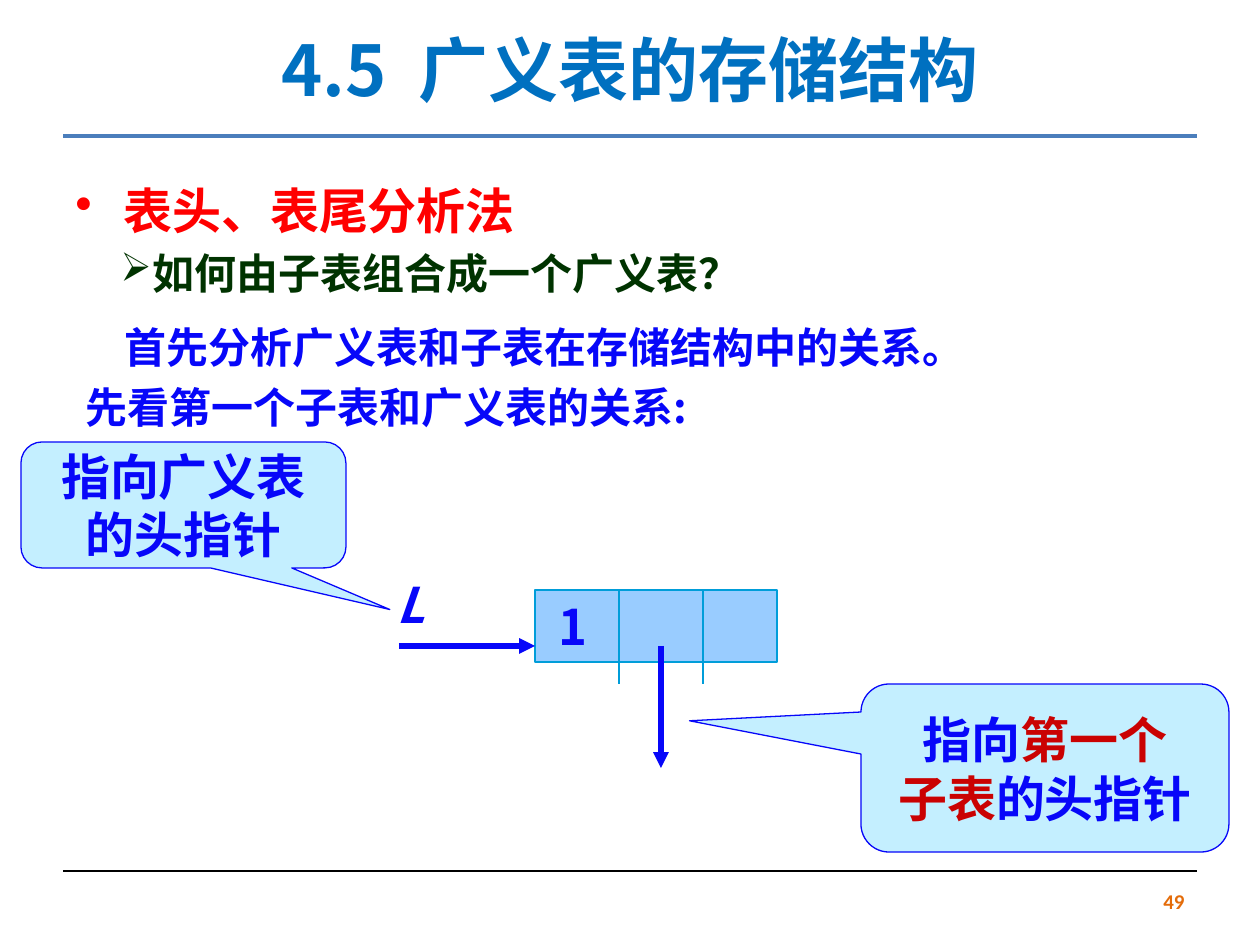
from lxml.etree import SubElement
from pptx import Presentation
from pptx.dml.color import RGBColor
from pptx.enum.shapes import MSO_CONNECTOR, MSO_SHAPE
from pptx.enum.text import MSO_ANCHOR, PP_ALIGN
from pptx.oxml.ns import qn
from pptx.util import Emu, Pt

PX_PER_INCH = 126
CJK, LATIN = "Noto Sans CJK SC", "Calibri"

BLUE = RGBColor(0x07, 0x07, 0xF9)
TITLE_BLUE = RGBColor(0x00, 0x70, 0xC0)
RULE_BLUE = RGBColor(0x4B, 0x7E, 0xBC)
RED = RGBColor(0xFF, 0x00, 0x00)
DARK_RED = RGBColor(0xCA, 0x02, 0x02)
GREEN = RGBColor(0x00, 0x33, 0x00)
ORANGE = RGBColor(0xE4, 0x6C, 0x0A)
BLACK = RGBColor(0x00, 0x00, 0x00)
NODE_FILL = RGBColor(0x99, 0xCC, 0xFF)
NODE_LINE = RGBColor(0x00, 0x9D, 0xD9)
CALLOUT_FILL = RGBColor(0xC4, 0xEF, 0xFF)

# text, box (left, top, width, height), format
TEXTS = [
    ("4.5  广义表的存储结构", (63, 0, 1134, 137),
     dict(size=40, color=TITLE_BLUE, align=PP_ALIGN.CENTER, anchor=MSO_ANCHOR.MIDDLE)),
    ("表头、表尾分析法", (63, 179, 1134, 703),
     dict(size=28, color=RED, font=LATIN, align=PP_ALIGN.JUSTIFY, bullet="•",
          margin=48, indent=-48, line_spacing=31, before=5.6)),
    ("如何由子表组合成一个广义表？", (108, 241, 1120, 63),
     dict(color=GREEN, bullet="➢", bullet_percent=95)),
    ("首先分析广义表和子表在存储结构中的关系。", (73, 315, 1120, 63), dict(margin=39)),
    ("先看第一个子表和广义表的关系:", (73, 375, 1120, 63), {}),
    ("L", (384, 568, 50, 72), dict(size=28, italic=True, wrap=False)),
    ("49", (903, 876, 294, 50),
     dict(size=12, color=ORANGE, font=LATIN, align=PP_ALIGN.RIGHT, anchor=MSO_ANCHOR.MIDDLE)),
]

# lines of (text, colour) spans, box, adjustments
CALLOUTS = [
    ([[("指向广义表", BLUE)], [("的头指针", BLUE)]],
     (21, 442, 325, 126), (0.635, 0.83, 0.167)),
    ([[("指向", BLUE), ("第一个", DARK_RED)], [("子表", DARK_RED), ("的头指针", BLUE)]],
     (861, 684, 368, 168), (-0.966, -0.281, 0.167)),
]

NODE = (535, 590, 242, 72)
CELL_WIDTH = 84
POINTER_Y = 646


def px(length):
    return Emu(round(length * 914400 / PX_PER_INCH))


def add_bullet(paragraph, char, color, percent):
    properties = paragraph._p.get_or_add_pPr()
    fill = SubElement(SubElement(properties, qn("a:buClr")), qn("a:srgbClr"))
    fill.set("val", str(color))
    SubElement(properties, qn("a:buSzPct")).set("val", str(percent * 1000))
    SubElement(properties, qn("a:buChar")).set("char", char)


def write_text(shape, lines, size=24, color=BLUE, font=CJK, italic=False,
               align=PP_ALIGN.LEFT, anchor=MSO_ANCHOR.TOP, wrap=True, margin=0,
               indent=0, line_spacing=None, before=0, bullet=None, bullet_percent=100):
    """Fill a shape; lines is a string or a list of lines of (text, colour) spans."""
    if isinstance(lines, str):
        lines = [[(lines, color)]]
    frame = shape.text_frame
    frame.word_wrap = wrap
    frame.vertical_anchor = anchor
    for number, spans in enumerate(lines):
        paragraph = frame.add_paragraph() if number else frame.paragraphs[0]
        paragraph.alignment = align
        paragraph.space_before = Pt(before)
        if line_spacing:
            paragraph.line_spacing = Pt(line_spacing)
        properties = paragraph._p.get_or_add_pPr()
        properties.set("marL", str(px(margin)))
        properties.set("indent", str(px(indent)))
        if bullet:
            add_bullet(paragraph, bullet, color, bullet_percent)
        for text, span_color in spans:
            span = paragraph.add_run()
            span.text = text
            span.font.size = Pt(size)
            span.font.bold = True
            span.font.italic = italic
            span.font.name = font
            span.font.color.rgb = span_color
            SubElement(span._r.get_or_add_rPr(), qn("a:ea")).set("typeface", CJK)


def add_box(page, kind, box, fill, line, width):
    shape = page.shapes.add_shape(kind, *map(px, box))
    shape.shadow.inherit = False
    shape.fill.solid()
    shape.fill.fore_color.rgb = fill
    shape.line.color.rgb = line
    shape.line.width = Pt(width)
    return shape


def add_line(page, start, end, color, width, arrow=False):
    line = page.shapes.add_connector(MSO_CONNECTOR.STRAIGHT, *map(px, start + end))
    line.line.color.rgb = color
    line.line.width = Pt(width)
    if arrow:
        SubElement(line.line._get_or_add_ln(), qn("a:tailEnd")).set("type", "triangle")
    SubElement(line._element.spPr, qn("a:effectLst"))


def add_node(page):
    """Draw the three-cell list node with its incoming and outgoing pointers."""
    left, top, width, height = NODE
    node = add_box(page, MSO_SHAPE.RECTANGLE, NODE, NODE_FILL, NODE_LINE, 1.5)
    write_text(node, "1", size=28, margin=11)
    for cell in (1, 2):
        x = left + cell * CELL_WIDTH
        add_line(page, (x, top), (x, top + 94), NODE_LINE, 0.75)
    middle = left + CELL_WIDTH * 3 // 2
    add_line(page, (399, POINTER_Y), (left, POINTER_Y), BLUE, 3, arrow=True)
    add_line(page, (middle, POINTER_Y), (middle, 768), BLUE, 3, arrow=True)


def main():
    deck = Presentation()
    deck.slide_width, deck.slide_height = px(1260), px(945)
    page = deck.slides.add_slide(deck.slide_layouts[6])
    add_line(page, (63, 136), (1197, 136), RULE_BLUE, 2.75)
    add_line(page, (63, 871), (1197, 871), BLACK, 0.75)
    for text, box, style in TEXTS:
        write_text(page.shapes.add_textbox(*map(px, box)), text, **style)
    add_node(page)
    for lines, box, adjustments in CALLOUTS:
        callout = add_box(page, MSO_SHAPE.ROUNDED_RECTANGULAR_CALLOUT, box,
                          CALLOUT_FILL, BLUE, 0.75)
        for number, value in enumerate(adjustments):
            callout.adjustments[number] = value
        write_text(callout, lines, size=28, wrap=False,
                   align=PP_ALIGN.CENTER, anchor=MSO_ANCHOR.MIDDLE)
    deck.save("out.pptx")


if __name__ == "__main__":
    main()
